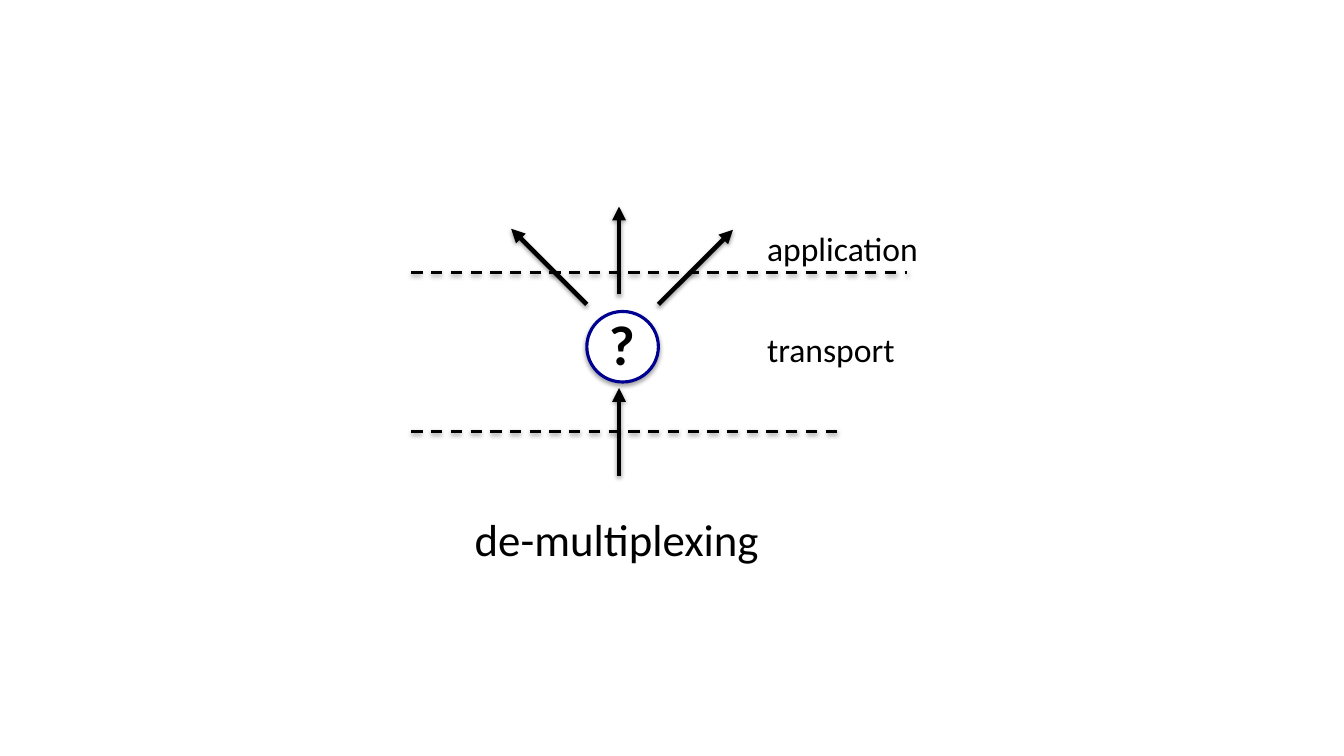
import pptx
import pptx.dml.color
import pptx.enum.dml
import pptx.enum.shapes
import pptx.enum.text
import pptx.oxml
import pptx.oxml.ns
import pptx.util

SLIDE_SIZE = (13.33, 7.5)
FONT = "Calibri"
BLACK, WHITE, NAVY = "000000", "FFFFFF", "000090"

# Inches: left, top, width, height
DECISION_CIRCLE = (5.82, 3.09, 0.71, 0.7)

# Inches: from x, from y, to x, to y
AXIS = 6.14
ARROWS = [
    (AXIS, 4.72, AXIS, 3.85),
    (5.82, 3.02, 5.07, 2.27),
    (6.53, 3.02, 7.27, 2.28),
    (AXIS, 2.92, AXIS, 2.05),
]
BOUNDARY_LEFT = 4.08
BOUNDARIES = [(4.28, 8.37), (2.7, 9)]  # height on the slide, right end

# Text, box in inches, size in points, bold
LABELS = [
    ("?", (5.94, 3.02, 0.46, 0.77), 40, True),
    ("de-multiplexing", (4.61, 5.03, 3.05, 0.64), 32, False),
    ("transport", (7.51, 3.21, 1.49, 0.5), 24, False),
    ("application", (7.51, 2.21, 1.72, 0.5), 24, False),
]


def inches(lengths):
    return [pptx.util.Inches(length) for length in lengths]


def rgb(colour):
    return pptx.dml.color.RGBColor.from_string(colour)


def add_shadow(shape, opacity, distance):
    """Cast a soft shadow straight down; opacity in percent, distance in points."""
    properties = shape._element.spPr
    for effects in properties.findall(pptx.oxml.ns.qn("a:effectLst")):
        properties.remove(effects)
    properties.append(pptx.oxml.parse_xml(
        f'<a:effectLst {pptx.oxml.ns.nsdecls("a")}>'
        f'<a:outerShdw blurRad="{pptx.util.Pt(3.1)}" dist="{pptx.util.Pt(distance)}" '
        f'dir="5400000" rotWithShape="0"><a:srgbClr val="{BLACK}">'
        f'<a:alpha val="{opacity * 1000}"/></a:srgbClr></a:outerShdw></a:effectLst>'))


def add_line(slide, ends, width, dashed=False, arrow=False):
    line = slide.shapes.add_connector(
        pptx.enum.shapes.MSO_CONNECTOR.STRAIGHT, *inches(ends))
    line.line.color.rgb = rgb(BLACK)
    line.line.width = pptx.util.Pt(width)
    if dashed:
        line.line.dash_style = pptx.enum.dml.MSO_LINE.DASH
    if arrow:
        line.line._get_or_add_ln().append(pptx.oxml.parse_xml(
            f'<a:tailEnd {pptx.oxml.ns.nsdecls("a")} type="triangle"/>'))
    add_shadow(line, 38, 1.6)


def add_circle(slide):
    circle = slide.shapes.add_shape(
        pptx.enum.shapes.MSO_SHAPE.OVAL, *inches(DECISION_CIRCLE))
    circle.fill.solid()
    circle.fill.fore_color.rgb = rgb(WHITE)
    circle.line.color.rgb = rgb(NAVY)
    circle.line.width = pptx.util.Pt(2.25)
    add_shadow(circle, 35, 1.8)


def add_label(slide, text, box, size, bold):
    frame = slide.shapes.add_textbox(*inches(box)).text_frame
    frame.word_wrap = False
    frame.auto_size = pptx.enum.text.MSO_AUTO_SIZE.SHAPE_TO_FIT_TEXT
    run = frame.paragraphs[0].add_run()
    run.text = text
    run.font.name = FONT
    run.font.size = pptx.util.Pt(size)
    run.font.bold = bold
    run.font.color.rgb = rgb(BLACK)


def main():
    deck = pptx.Presentation()
    deck.slide_width, deck.slide_height = inches(SLIDE_SIZE)
    slide = deck.slides.add_slide(deck.slide_layouts.get_by_name("Blank"))
    add_circle(slide)
    for ends in ARROWS:
        add_line(slide, ends, 3.25, arrow=True)
    for height, right in BOUNDARIES:
        add_line(slide, (BOUNDARY_LEFT, height, right, height), 2, dashed=True)
    for label in LABELS:
        add_label(slide, *label)
    deck.save("out.pptx")


if __name__ == "__main__":
    main()
